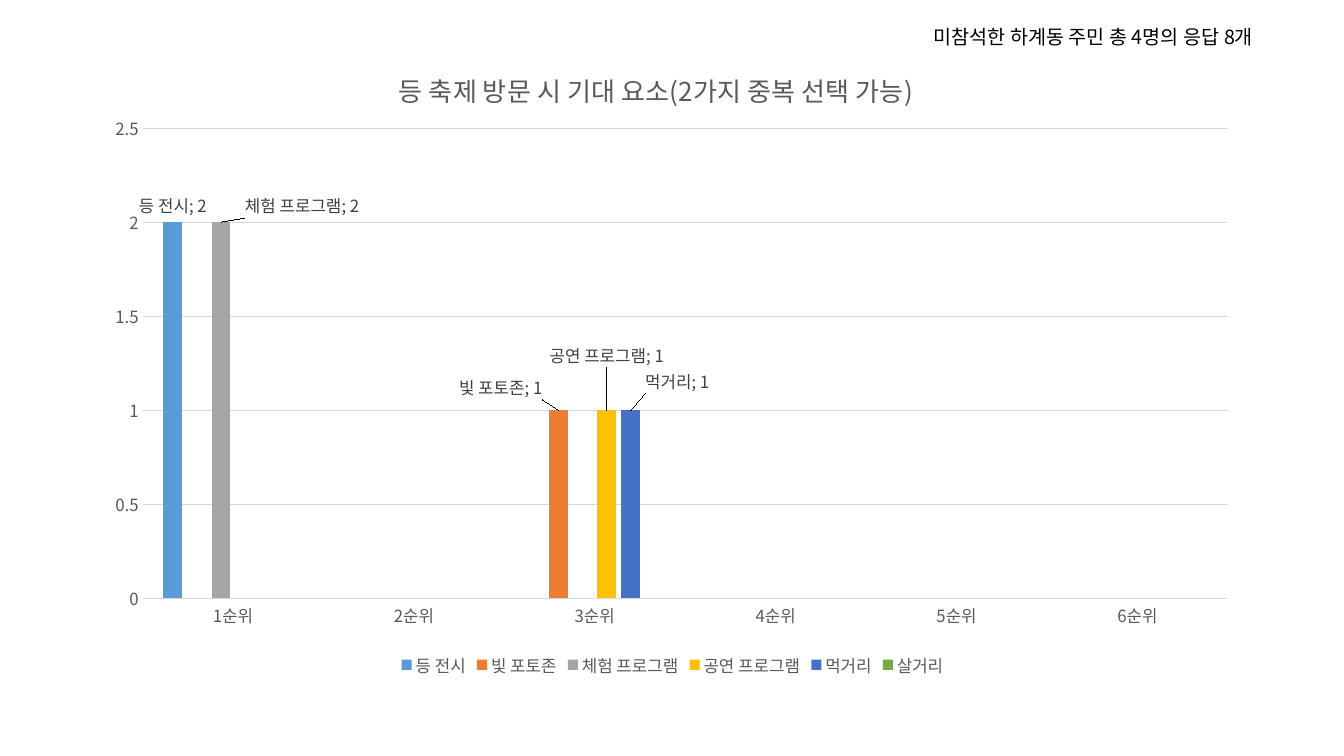
from dataclasses import dataclass

import pptx
import pptx.chart.data
import pptx.dml.color
import pptx.enum.chart
import pptx.enum.text
import pptx.oxml
import pptx.oxml.ns
import pptx.util
from pptx.util import Inches


@dataclass(frozen=True)
class Theme:
    typeface: str = "Noto Sans CJK KR"
    note: str = "000000"
    axis_text: str = "595959"
    label_text: str = "404040"
    grid: str = "D9D9D9"
    title_size: float = 18.6
    note_size: float = 14
    chart_size: float = 12


THEME = Theme()
RANKS = [f"{rank}순위" for rank in range(1, 7)]

# name, colour, index of the chosen rank, votes, label shift in chart fractions
ELEMENTS = [
    ("등 전시", "5B9BD5", 0, 2, None),
    ("빛 포토존", "ED7D31", 2, 1, (-0.05, -0.01)),
    ("체험 프로그램", "A5A5A5", 0, 2, (0.07, 0)),
    ("공연 프로그램", "FFC000", 2, 1, (0, -0.06)),
    ("먹거리", "4472C4", 2, 1, (0.04, -0.02)),
    ("살거리", "70AD47", None, None, None),
]


def rgb(colour):
    return pptx.dml.color.RGBColor.from_string(colour)


def style_font(font, size, colour):
    """Set size, colour and the typeface for Latin and Korean text."""
    font.size = pptx.util.Pt(size)
    font.bold = False
    font.color.rgb = rgb(colour)
    font.name = THEME.typeface
    east_asian = pptx.oxml.parse_xml(
        f'<a:ea {pptx.oxml.ns.nsdecls("a")} typeface="{THEME.typeface}"/>'
    )
    font._rPr.find(pptx.oxml.ns.qn("a:latin")).addnext(east_asian)


def manual_layout(x, y, size=None, absolute=True):
    """Return a c:layout element with values in chart fractions."""
    fields = [("layoutTarget", "inner")] if size else []
    if absolute:
        fields += [("xMode", "edge"), ("yMode", "edge")]
    fields += [("x", x), ("y", y)]
    if size:
        fields += zip("wh", size)
    inner = "".join(f'<c:{tag} val="{value}"/>' for tag, value in fields)
    return pptx.oxml.parse_xml(
        f'<c:layout {pptx.oxml.ns.nsdecls("c")}>'
        f"<c:manualLayout>{inner}</c:manualLayout></c:layout>"
    )


def place(parent, layout, after=None):
    """Put a layout into its parent, replacing any layout already there."""
    for old in parent.xpath("c:layout"):
        parent.remove(old)
    if after is None:
        parent.insert(0, layout)
    else:
        parent.xpath(after)[0].addnext(layout)


def add_note(slide, text):
    box = slide.shapes.add_textbox(Inches(9.16), Inches(0.2), Inches(3.95), Inches(0.34))
    frame = box.text_frame
    frame.word_wrap = False
    frame.auto_size = pptx.enum.text.MSO_AUTO_SIZE.SHAPE_TO_FIT_TEXT
    paragraph = frame.paragraphs[0]
    paragraph.text = text
    style_font(paragraph.font, THEME.note_size, THEME.note)


def style_axes(chart):
    for axis in (chart.category_axis, chart.value_axis):
        axis.major_tick_mark = pptx.enum.chart.XL_TICK_MARK.NONE
        axis.minor_tick_mark = pptx.enum.chart.XL_TICK_MARK.NONE
        style_font(axis.tick_labels.font, THEME.chart_size, THEME.axis_text)
    chart.value_axis.maximum_scale = 2.5
    chart.value_axis.minimum_scale = 0
    chart.value_axis.major_unit = 0.5
    chart.value_axis.has_major_gridlines = True
    chart.value_axis.format.line.fill.background()
    for line in (
        chart.category_axis.format.line,
        chart.value_axis.major_gridlines.format.line,
    ):
        line.color.rgb = rgb(THEME.grid)
        line.width = pptx.util.Pt(0.75)


def label_series(series, rank, shift):
    """Show name and value above the bars, with an optional shift for one bar."""
    labels = series.data_labels
    labels.show_value = True
    labels.show_series_name = True
    labels.position = pptx.enum.chart.XL_LABEL_POSITION.OUTSIDE_END
    style_font(labels.font, THEME.chart_size, THEME.label_text)
    if shift:
        label = series.points[rank].data_label
        label.position = pptx.enum.chart.XL_LABEL_POSITION.OUTSIDE_END
        style_font(label.font, THEME.chart_size, THEME.label_text)
        label_xml = series._element.xpath("c:dLbls/c:dLbl")[0]
        label_xml.xpath("c:showSerName")[0].set("val", "1")
        place(label_xml, manual_layout(*shift, absolute=False), after="c:idx")
    for last_flag in series._element.xpath("c:dLbls//c:showBubbleSize"):
        separator = pptx.oxml.parse_xml(
            f'<c:separator {pptx.oxml.ns.nsdecls("c")}>; </c:separator>'
        )
        last_flag.addnext(separator)


def add_rank_chart(slide, title):
    data = pptx.chart.data.CategoryChartData()
    data.categories = RANKS
    for name, _, chosen, votes, _ in ELEMENTS:
        data.add_series(name, [votes if i == chosen else None for i in range(len(RANKS))])
    chart = slide.shapes.add_chart(
        pptx.enum.chart.XL_CHART_TYPE.COLUMN_CLUSTERED,
        Inches(0.92), Inches(0.37), Inches(11.5), Inches(6.39), data,
    ).chart
    style_font(chart.font, THEME.chart_size, THEME.axis_text)

    chart.has_title = True
    heading = chart.chart_title.text_frame.paragraphs[0]
    heading.text = title
    style_font(heading.font, THEME.title_size, THEME.axis_text)
    chart.chart_title.include_in_layout = False
    place(chart.chart_title._element, manual_layout(0.26, 0.04), after="c:tx")

    chart.has_legend = True
    chart.legend.position = pptx.enum.chart.XL_LEGEND_POSITION.BOTTOM
    chart.legend.include_in_layout = False
    style_font(chart.legend.font, THEME.chart_size, THEME.axis_text)

    style_axes(chart)
    plot_area = chart._chartSpace.xpath("c:chart/c:plotArea")[0]
    place(plot_area, manual_layout(0.043, 0.141, size=(0.936, 0.73)))

    plot = chart.plots[0]
    plot.gap_width = 219
    plot.overlap = -27
    plot.vary_by_categories = False
    for series, (_, colour, rank, _, shift) in zip(plot.series, ELEMENTS):
        series.format.fill.solid()
        series.format.fill.fore_color.rgb = rgb(colour)
        label_series(series, rank, shift)


def main():
    deck = pptx.Presentation()
    deck.slide_width = Inches(13.33)
    deck.slide_height = Inches(7.5)
    slide = deck.slides.add_slide(deck.slide_layouts[6])
    add_rank_chart(slide, "등 축제 방문 시 기대 요소(2가지 중복 선택 가능)")
    add_note(slide, "미참석한 하계동 주민 총 4명의 응답 8개")
    deck.save("out.pptx")


if __name__ == "__main__":
    main()
